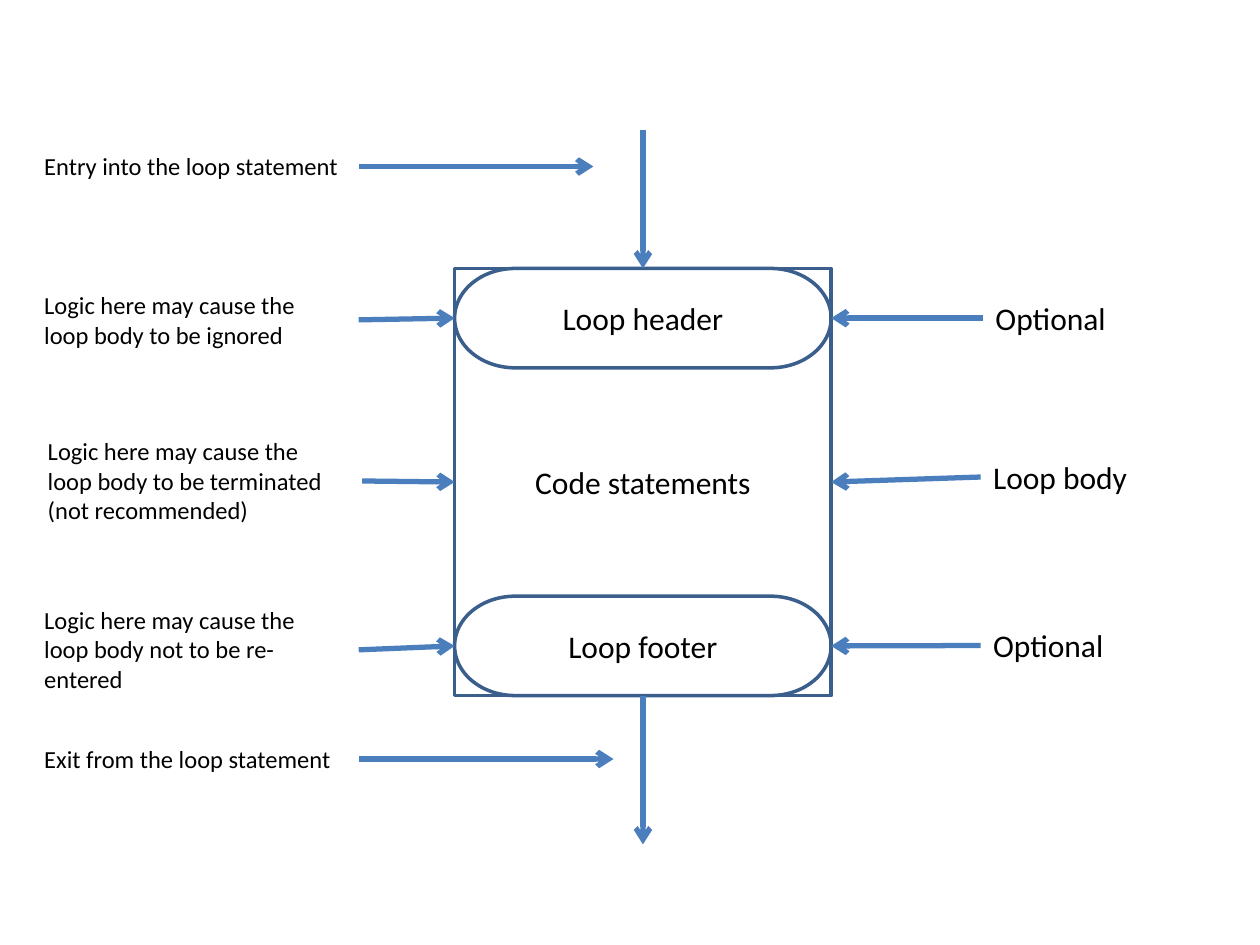
from collections import namedtuple
from lxml.etree import SubElement
from pptx import Presentation
from pptx.dml.color import RGBColor
from pptx.enum.shapes import MSO_CONNECTOR, MSO_SHAPE
from pptx.enum.text import MSO_ANCHOR, PP_ALIGN
from pptx.oxml.ns import qn
from pptx.util import Pt

Box = namedtuple("Box", "left top width height")
OUTLINE, ARROW, INK = "3A5F8C", "4B7EBC", "000000"


def colour(value):
    """Turn a hex string into a colour."""
    return RGBColor.from_string(value)


def write(shape, text, size, align, anchor):
    """Put one formatted paragraph into a shape."""
    frame = shape.text_frame
    frame.word_wrap = True
    frame.vertical_anchor = anchor
    frame.text = text
    para = frame.paragraphs[0]
    para.alignment = align
    font = para.runs[0].font
    font.name, font.size = "Calibri", Pt(size)
    font.color.rgb = colour(INK)


def add_block(page, kind, box, text):
    """Draw an outlined flowchart block with centred text."""
    block = page.shapes.add_shape(kind, *map(Pt, box))
    block.shadow.inherit = False
    block.fill.background()
    block.line.color.rgb = colour(OUTLINE)
    block.line.width = Pt(2)
    write(block, text, 18, PP_ALIGN.CENTER, MSO_ANCHOR.MIDDLE)


def add_arrow(page, start, end):
    """Draw an arrow between two points."""
    arrow = page.shapes.add_connector(MSO_CONNECTOR.STRAIGHT, *map(Pt, start + end))
    arrow.line.color.rgb = colour(ARROW)
    arrow.line.width = Pt(3)
    SubElement(arrow._element.spPr.find(qn("a:ln")), qn("a:tailEnd"), type="arrow")
    SubElement(arrow._element.spPr, qn("a:effectLst"))


def add_label(page, box, text, size, target, from_right):
    """Place a label and an arrow from the middle of its side to a target."""
    label = page.shapes.add_textbox(*map(Pt, box))
    label.text_frame.margin_right = Pt(9.6)
    write(label, text, size, PP_ALIGN.LEFT, MSO_ANCHOR.TOP)
    side = box.left + (box.width if from_right else 0)
    add_arrow(page, (side, box.top + box.height / 2), target)


def add_loop(page, box, cap, entry, leave):
    """Draw the loop with its header, footer, entry and exit arrows."""
    bottom = box.top + box.height
    middle = box.left + box.width / 2
    add_block(page, MSO_SHAPE.FLOWCHART_PROCESS, box, "Code statements")
    for top, text in ((box.top, "Loop header"), (bottom - cap, "Loop footer")):
        add_block(page, MSO_SHAPE.FLOWCHART_TERMINATOR,
                  box._replace(top=top, height=cap), text)
    add_arrow(page, (middle, box.top - entry), (middle, box.top))
    add_arrow(page, (middle, bottom), (middle, bottom + leave))


def add_notes(page, box, rows):
    """Place the explanations on the left, pointing right."""
    for shift, top, height, text, target in rows:
        place = Box(box.left + shift, box.top + top, box.width, height)
        add_label(page, place, text, 14, target, True)


def add_names(page, box, rows):
    """Place the part names on the right, pointing left."""
    for shift, top, text, target in rows:
        place = box._replace(left=box.left + shift, top=box.top + top)
        add_label(page, place, text, 18, target, False)


deck = Presentation()
deck.slide_width, deck.slide_height = Pt(720), Pt(540)
page = deck.slides.add_slide(deck.slide_layouts[6])

loop = Box(259.8, 153.4, 215.2, 244.1)
cap = 56.8
right = loop.left + loop.width
header = loop.top + cap / 2
body = loop.top + loop.height / 2
footer = loop.top + loop.height - cap / 2

add_loop(page, loop, cap, 79.2, 85)
add_notes(page, Box(18.2, 82.9, 186.8, 363), (
    (0, 0, 24.5, "Entry into the loop statement", (339.1, 95.15)),
    (0, 79.4, 41, "Logic here may cause the loop body to be ignored",
     (loop.left, header)),
    (2, 162.8, 58.3, "Logic here may cause the loop body to be terminated "
     "(not recommended)", (loop.left, body)),
    (0, 259.3, 58.3, "Logic here may cause the loop body not to be re-entered",
     (loop.left, footer)),
    (0, 338.6, 24.5, "Exit from the loop statement", (350.6, 433.75)),
))
add_names(page, Box(560.4, 167.3, 108, 29), (
    (1.4, 0, "Optional", (right, header)),
    (0, 90.8, "Loop body", (right, body)),
    (0, 187.1, "Optional", (right, footer)),
))
deck.save("out.pptx")
